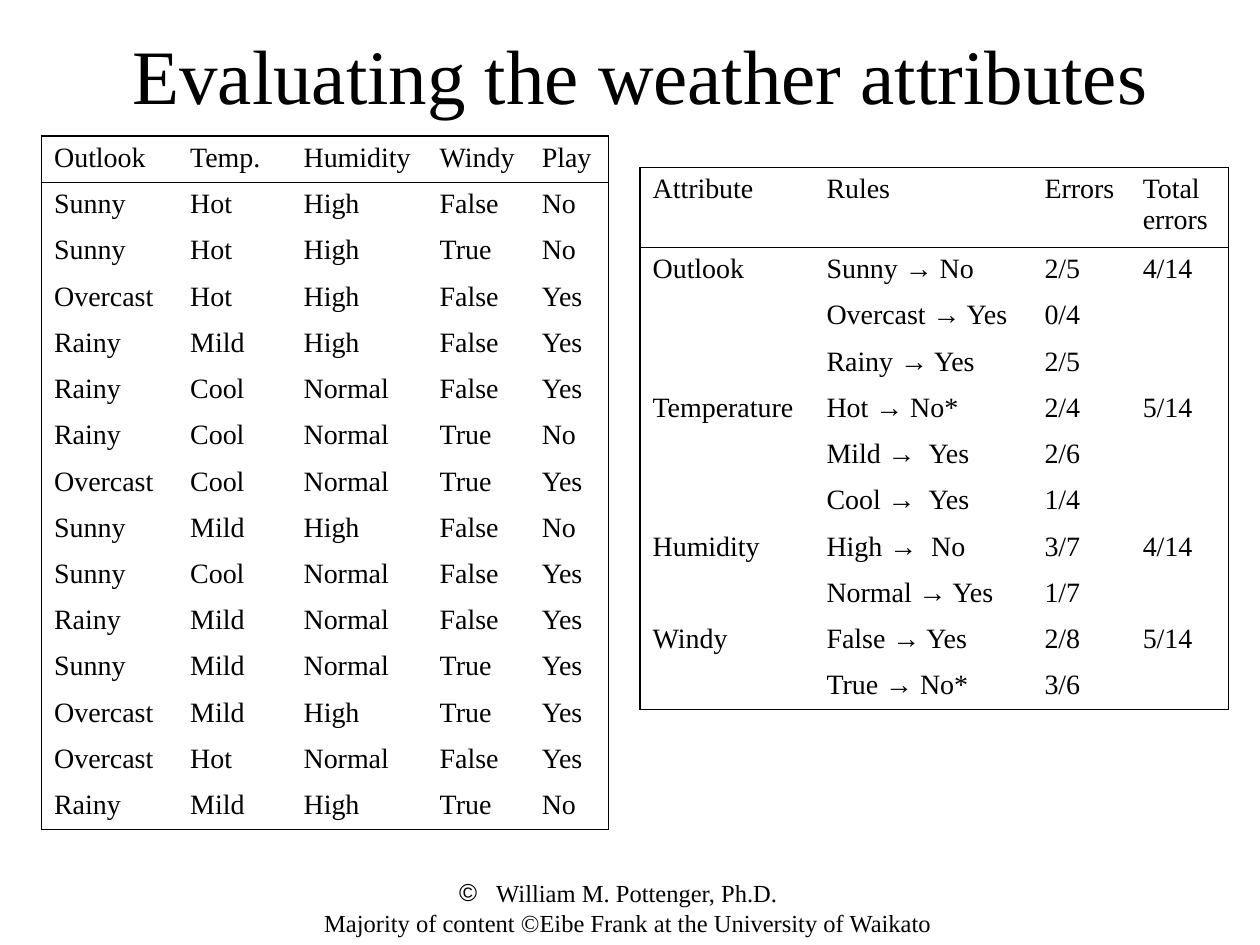
import lxml.etree
import pptx
import pptx.dml.color
import pptx.enum.text
import pptx.oxml.ns
import pptx.util

Inches = pptx.util.Inches
BLACK = pptx.dml.color.RGBColor(0, 0, 0)

WEATHER = [line.split() for line in """\
Outlook Temp. Humidity Windy Play
Sunny Hot High False No
Sunny Hot High True No
Overcast Hot High False Yes
Rainy Mild High False Yes
Rainy Cool Normal False Yes
Rainy Cool Normal True No
Overcast Cool Normal True Yes
Sunny Mild High False No
Sunny Cool Normal False Yes
Rainy Mild Normal False Yes
Sunny Mild Normal True Yes
Overcast Mild High True Yes
Overcast Hot Normal False Yes
Rainy Mild High True No""".splitlines()]

RULES = [
    ("Attribute", "Rules", "Errors", "Total errors"),
    ("Outlook", "Sunny → No", "2/5", "4/14"),
    ("", "Overcast → Yes", "0/4", ""),
    ("", "Rainy → Yes", "2/5", ""),
    ("Temperature", "Hot → No*", "2/4", "5/14"),
    ("", "Mild →  Yes", "2/6", ""),
    ("", "Cool →  Yes", "1/4", ""),
    ("Humidity", "High →  No", "3/7", "4/14"),
    ("", "Normal → Yes", "1/7", ""),
    ("Windy", "False → Yes", "2/8", "5/14"),
    ("", "True → No*", "3/6", ""),
]


class SlideBuilder:
    """Holds the text style and the slide being filled."""

    def __init__(self, slide, font_name="Times New Roman", color=BLACK):
        self.slide = slide
        self.font_name = font_name
        self.color = color

    def add_element(self, parent, tag, **attributes):
        return lxml.etree.SubElement(parent, pptx.oxml.ns.qn(tag), attributes)

    def add_styled_run(self, paragraph, text, size):
        run = paragraph.add_run()
        run.text = text
        for name, value in {"name": self.font_name, "size": pptx.util.Pt(size)}.items():
            setattr(run.font, name, value)
        run.font.color.rgb = self.color

    def add_text(self, box, lines, size, anchor):
        shape = self.slide.shapes.add_textbox(*map(Inches, box))
        frame = shape.text_frame
        for name, value in {"word_wrap": True, "vertical_anchor": anchor}.items():
            setattr(frame, name, value)
        for index, line in enumerate(lines):
            paragraph = frame.add_paragraph() if index else frame.paragraphs[0]
            paragraph.alignment = pptx.enum.text.PP_ALIGN.CENTER
            self.add_styled_run(paragraph, line, size)
        return frame

    def add_bullet(self, paragraph, character, margin, indent):
        properties = paragraph._p.get_or_add_pPr()
        properties.set("marL", str(Inches(margin)))
        properties.set("indent", str(Inches(indent)))
        self.add_element(properties, "a:buFont", typeface="Arial")
        self.add_element(properties, "a:buChar", char=character)

    def add_borders(self, cell, edges):
        properties = cell._tc.get_or_add_tcPr()
        for side, visible in edges.items():
            line = self.add_element(properties, f"a:ln{side}", w=str(pptx.util.Pt(1)))
            if visible:
                fill = self.add_element(line, "a:solidFill")
                self.add_element(fill, "a:srgbClr", val=str(self.color))
            else:
                self.add_element(line, "a:noFill")

    def add_table(self, box, widths, rows, size=16, row_height=0.33):
        frame = self.slide.shapes.add_table(len(rows), len(widths), *map(Inches, box))
        table = frame.table
        for name, value in {"first_row": False, "horz_banding": False}.items():
            setattr(table, name, value)
        for column, width in zip(table.columns, widths):
            column.width = Inches(width)
        for row_index, values in enumerate(rows):
            table.rows[row_index].height = Inches(row_height)
            for column_index, text in enumerate(values):
                cell = table.cell(row_index, column_index)
                paragraph = cell.text_frame.paragraphs[0]
                if text:
                    self.add_styled_run(paragraph, text, size)
                else:
                    self.add_element(paragraph._p, "a:endParaRPr", sz=str(size * 100))
                self.add_borders(cell, {
                    "L": column_index == 0,
                    "R": column_index == len(widths) - 1,
                    "T": row_index <= 1,
                    "B": row_index in (0, len(rows) - 1),
                })
                cell.fill.background()


def main():
    presentation = pptx.Presentation()
    presentation.slide_width = Inches(10)
    presentation.slide_height = Inches(7.5)
    builder = SlideBuilder(presentation.slides.add_slide(presentation.slide_layouts[6]))
    anchors = pptx.enum.text.MSO_ANCHOR
    credit = builder.add_text(
        (2.25, 6.92, 5.42, 0.33),
        [" William M. Pottenger, Ph.D.",
         " Majority of content ©Eibe Frank at the University of Waikato"],
        14, anchors.TOP)
    builder.add_bullet(credit.paragraphs[0], "©", 0.13, -0.25)
    builder.add_text((0.42, 0, 9.33, 1.17), ["Evaluating the weather attributes"],
                     44, anchors.MIDDLE)
    builder.add_table((5.08, 1.33, 4.67, 4.3), (1.38, 1.73, 0.78, 0.78), RULES)
    builder.add_table((0.33, 1.08, 4.5, 5.5), (1.08, 0.9, 1.08, 0.81, 0.63), WEATHER)
    presentation.save("out.pptx")


if __name__ == "__main__":
    main()
